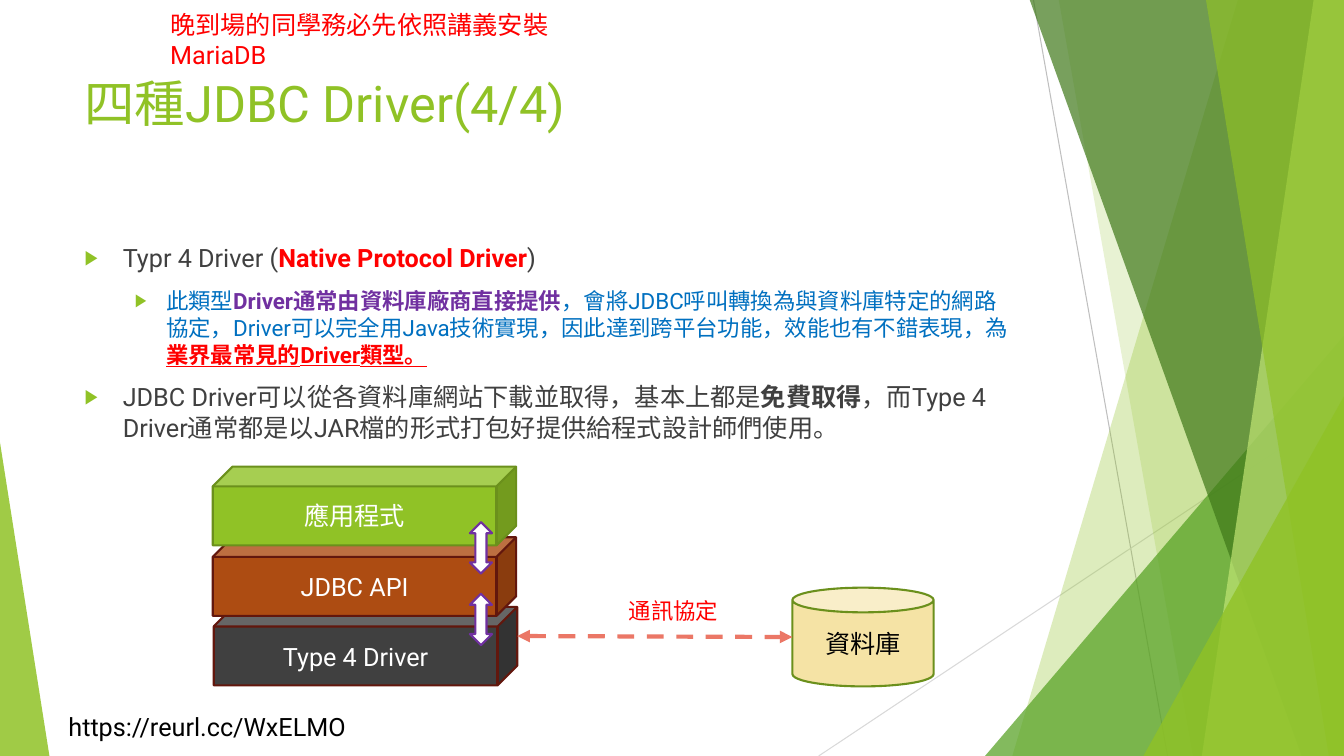
from lxml.etree import SubElement
from pptx import Presentation
from pptx.dml.color import RGBColor
from pptx.enum.dml import MSO_LINE
from pptx.enum.shapes import MSO_CONNECTOR, MSO_SHAPE as SHAPE
from pptx.enum.text import MSO_ANCHOR, PP_ALIGN
from pptx.oxml.ns import qn
from pptx.util import Inches, Pt

FONT = "Roboto"
LIME, RED, DARK, BLUE, PLUM = "90C226", "FF0000", "404040", "0070C0", "7030A0"


def rgb(code):
    """Turn a hex string into a colour."""
    return RGBColor.from_string(code)


def paint(shape, fill, line=None, alpha=100):
    """Give a shape its fill, opacity and outline."""
    shape.shadow.inherit = False
    shape.fill.solid()
    shape.fill.fore_color.rgb = rgb(fill)
    if alpha < 100:
        tone = shape.fill._xPr.find(".//" + qn("a:srgbClr"))
        SubElement(tone, qn("a:alpha"), val=str(alpha * 1000))
    if line:
        shape.line.color.rgb = rgb(line)
        shape.line.width = Pt(1.5)
    else:
        shape.line.fill.background()


def write(para, text, size, color, bold=False, under=False):
    """Add one run to a paragraph."""
    run = para.add_run()
    run.text = text
    font = run.font
    font.name, font.size, font.bold = FONT, Pt(size), bold
    font.underline = under
    font.color.rgb = rgb(color)


def add(slide, kind, box, fill, line=None, alpha=100):
    """Place a painted preset shape."""
    shape = slide.shapes.add_shape(kind, *map(Inches, box))
    paint(shape, fill, line, alpha)
    return shape


def label(slide, box, text, size, color, wrap=True):
    """Place a one-run text box."""
    area = slide.shapes.add_textbox(*map(Inches, box))
    area.text_frame.word_wrap = wrap
    write(area.text_frame.paragraphs[0], text, size, color)
    return area


def link(slide, start, end, color, width):
    """Draw a straight line without a shadow."""
    line = slide.shapes.add_connector(
        MSO_CONNECTOR.STRAIGHT, *map(Inches, (*start, *end)))
    line.line.color.rgb = rgb(color)
    line.line.width = Pt(width)
    SubElement(line._element.spPr, qn("a:effectLst"))
    return line


def shard(slide, points, fill, alpha):
    """Draw a translucent polygon."""
    form = slide.shapes.build_freeform(
        *map(Inches, points[0]), scale=1.0)
    form.add_line_segments([tuple(map(Inches, p)) for p in points[1:]])
    paint(form.convert_to_shape(), fill, alpha=alpha)


def wedge(slide, box, apex, fill, alpha):
    """Draw a translucent right triangle with its apex at one side."""
    shape = add(slide, SHAPE.ISOSCELES_TRIANGLE, box, fill, alpha=alpha)
    shape.adjustments[0] = apex


def backdrop(slide, box):
    """Draw the green facets along both edges of the box."""
    left, top, wide, high = box
    right, foot = left + wide, top + high

    def band(head, base, fill, alpha):
        shard(slide, [(left + head, top - 0.01), (right, top - 0.01),
                      (right, foot), (left + base, foot)], fill, alpha)

    def corner(width, height, fill, alpha):
        wedge(slide, (right - width, foot - height, width, height),
              1, fill, alpha)

    link(slide, (left + 10.25, top), (left + 11.58, foot), "BFBFBF", 0.75)
    link(slide, (right, top + 4.03), (left + 8.12, foot), "D9D9D9", 0.75)
    band(12.28, 10.04, LIME, 30)
    band(10.5, 11.83, LIME, 20)
    corner(3.56, 4.17, "54A021", 72)
    band(10.21, 12.91, "3F7819", 70)
    band(13.03, 11.92, "C0E474", 70)
    band(11.96, 13.18, LIME, 65)
    corner(1.99, 3.57, LIME, 80)
    wedge(slide, (left, foot - 3.11, 0.49, 3.11), 0, LIME, 85)


def bullet(para, level, margin, hang):
    """Give a paragraph a green arrow bullet and hanging indent."""
    para.level = level
    props = para._p.get_or_add_pPr()
    props.set("marL", str(Inches(margin)))
    props.set("indent", str(-Inches(hang)))
    SubElement(SubElement(props, qn("a:buClr")), qn("a:srgbClr"), val=LIME)
    SubElement(props, qn("a:buSzPct"), val="80000")
    SubElement(props, qn("a:buFont"), typeface="Arial")
    SubElement(props, qn("a:buChar"), char="▶")


def body(slide, box):
    """Write the bulleted notes on the driver type."""
    items = [
        (0, 18, [("Typr 4 Driver (", DARK),
                 ("Native Protocol Driver", RED, True),
                 (")", DARK)]),
        (1, 16, [("此類型", BLUE),
                 ("Driver通常由資料庫廠商直接提供", PLUM, True),
                 ("，會將JDBC呼叫轉換為與資料庫特定的網路協定，"
                  "Driver可以完全用Java技術實現，因此達到跨平台功能，"
                  "效能也有不錯表現，為", BLUE),
                 ("業界最常見的Driver類型。", RED, True, True)]),
        (0, 18, [("JDBC Driver可以從各資料庫網站下載並取得，"
                  "基本上都是", DARK),
                 ("免費取得", DARK, True),
                 ("，而Type 4 Driver通常都是以JAR檔的形式打包好"
                  "提供給程式設計師們使用。", DARK)]),
    ]
    frame = slide.shapes.add_textbox(*map(Inches, box)).text_frame
    frame.word_wrap = True
    for i, (level, size, runs) in enumerate(items):
        para = frame.add_paragraph() if i else frame.paragraphs[0]
        bullet(para, level, *((0.81, 0.31) if level else (0.38, 0.38)))
        if i:
            para.space_before = Pt(10)
        for text, *style in runs:
            write(para, text, size, *style)


def block(slide, kind, box, text, fill, line, color="FFFFFF"):
    """Place a solid with a centred caption."""
    shape = add(slide, kind, box, fill, line)
    frame = shape.text_frame
    frame.word_wrap = True
    frame.vertical_anchor = MSO_ANCHOR.MIDDLE
    para = frame.paragraphs[0]
    para.alignment = PP_ALIGN.CENTER
    write(para, text, 18, color)


def diagram(slide, box):
    """Draw the driver stack, the database and the link between them."""
    left, top, wide, high = box
    right, deep = left + wide, 0.78

    def cube(x, y, *look):
        block(slide, SHAPE.CUBE, (left + x, top + y, 3.01, deep), *look)

    tag = label(slide, (left + 4.03, top + 1.25, 1.1, 0.37),
                "通訊協定", 16, RED, False)
    paint(tag, "FFFFFF")
    cube(0.01, 1.39, "Type 4 Driver", DARK, "62170D")
    block(slide, SHAPE.CAN, (right - 1.4, top + 1.2, 1.4, 0.98),
          "資料庫", "F5E3A5", "6B901C", "000000")
    line = link(slide, (left + 3.02, top + 1.68),
                (right - 1.4, top + 1.69), "EB7766", 3)
    line.line.dash_style = MSO_LINE.DASH
    for end in ("a:headEnd", "a:tailEnd"):
        SubElement(line.line._get_or_add_ln(), qn(end), type="triangle")
    cube(0, 0.7, "JDBC API", "AD4C12", "62170D")
    cube(0, 0, "應用程式", LIME, "6B901C")
    for y in (1.26, 0.55):
        add(slide, SHAPE.UP_DOWN_ARROW,
            (left + 2.55, top + y, 0.22, 0.51), "FFFFFF", PLUM)


def main():
    """Build and save the slide."""
    deck = Presentation()
    deck.slide_width, deck.slide_height = Inches(13.33), Inches(7.5)
    slide = deck.slides.add_slide(deck.slide_layouts[6])
    backdrop(slide, (0, 0, 13.33, 7.5))
    label(slide, (0.58, 7.01, 3.12, 0.4),
          "https://reurl.cc/WxELMO", 18, "000000", False)
    label(slide, (1.59, 0.04, 4.9, 0.4),
          "晚到場的同學務必先依照講義安裝MariaDB", 18, RED)
    label(slide, (0.74, 0.67, 9.4, 1.44), "四種JDBC Driver(4/4)", 36, LIME)
    body(slide, (0.74, 2.36, 9.4, 4.24))
    diagram(slide, (2.11, 4.63, 7.15, 2.18))
    deck.save("out.pptx")


if __name__ == "__main__":
    main()
